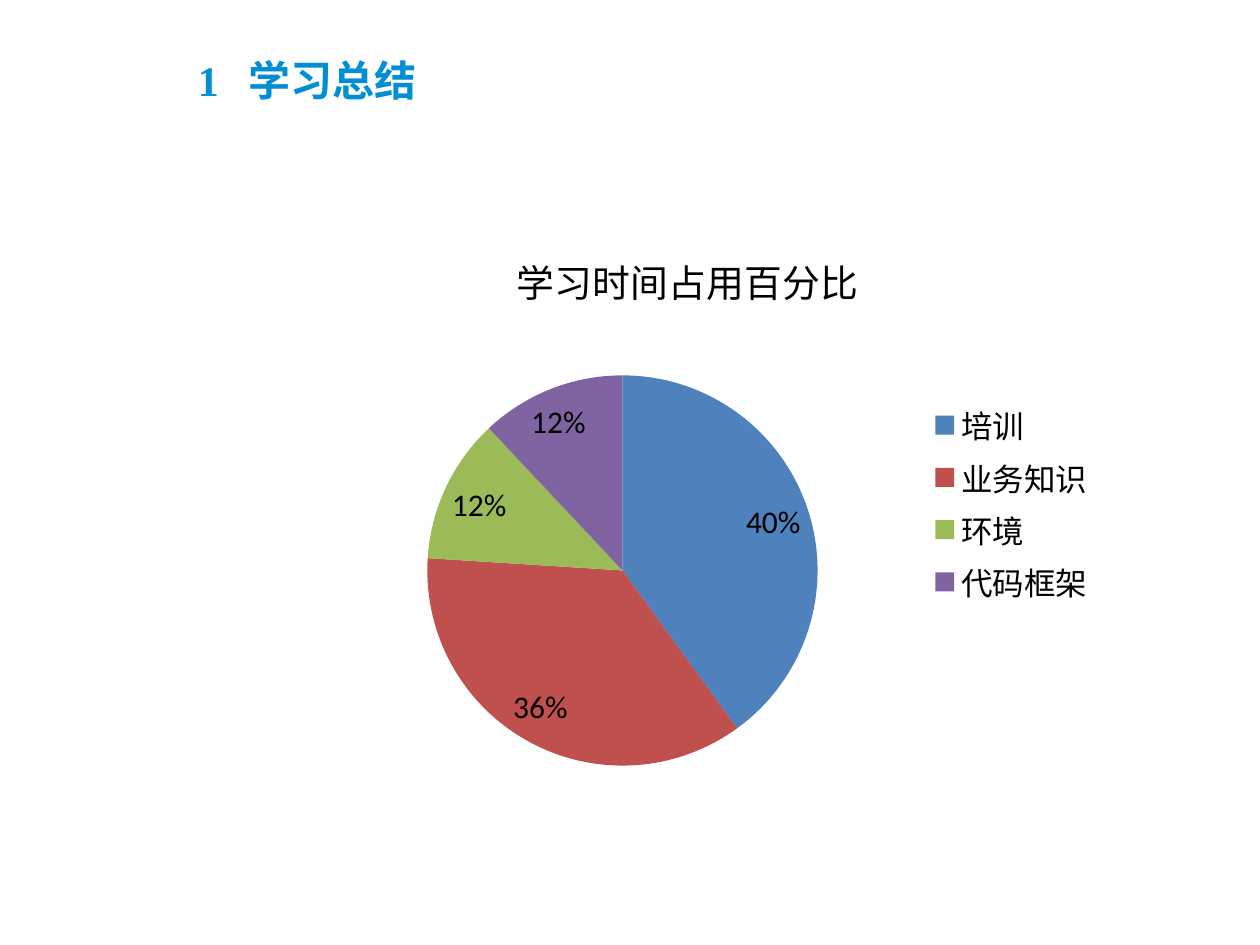
from dataclasses import dataclass

from lxml import etree
from pptx import Presentation
from pptx.chart.data import CategoryChartData
from pptx.dml.color import RGBColor
from pptx.enum.chart import XL_CHART_TYPE, XL_LABEL_POSITION, XL_LEGEND_POSITION
from pptx.enum.text import MSO_ANCHOR
from pptx.oxml.ns import qn
from pptx.util import Emu, Pt

PIE = XL_CHART_TYPE.PIE
BEST_FIT = XL_LABEL_POSITION.BEST_FIT
RIGHT = XL_LEGEND_POSITION.RIGHT
TOP = MSO_ANCHOR.TOP
EMU_PER_PX = 914400 / 126


@dataclass(frozen=True)
class Theme:
    accent: str = "008FD4"
    text: str = "000000"
    slices: tuple = ("4F81BD", "C0504D", "9BBB59", "8064A2")
    number_font: str = "Times New Roman"
    cjk_font: str = "Noto Sans CJK SC"
    chart_font: str = "Calibri"
    heading_size: float = 24
    chart_title_size: float = 21.6
    chart_size: float = 18


def px(n):
    return Emu(round(n * EMU_PER_PX))


class Deck:
    def __init__(self, theme, width, height):
        self.theme = theme
        self.prs = Presentation()
        self.prs.slide_width, self.prs.slide_height = px(width), px(height)
        self.slide = self.prs.slides.add_slide(self.prs.slide_layouts[6])

    def style(self, font, size, color, name, bold=False):
        font.size = Pt(size)
        font.bold = bold
        font.name = name
        font.color.rgb = RGBColor.from_string(color)

    def heading(self, number, text, box, indent):
        t = self.theme
        tf = self.slide.shapes.add_textbox(*map(px, box)).text_frame
        tf.word_wrap = True
        tf.vertical_anchor = TOP
        tf.margin_left = tf.margin_right = tf.margin_top = tf.margin_bottom = 0
        p = tf.paragraphs[0]
        self.style(p.font, t.heading_size, t.accent, t.number_font, bold=True)
        pPr = p._p.get_or_add_pPr()
        pPr.set("marL", str(px(indent)))
        pPr.set("indent", str(-px(indent)))
        p.add_run().text = number + "\t"
        r = p.add_run()
        r.text = text
        r.font.name = t.cjk_font
        ea = etree.SubElement(r.font._element, qn("a:ea"))
        ea.set("typeface", t.cjk_font)

    def pie(self, title, shares, box):
        t = self.theme
        data = CategoryChartData()
        data.categories = list(shares)
        data.add_series("Series 1", list(shares.values()))
        chart = self.slide.shapes.add_chart(PIE, *map(px, box), data).chart
        self.style(chart.font, t.chart_size, t.text, t.chart_font)

        chart.has_title = True
        tf = chart.chart_title.text_frame
        tf.text = title
        self.style(tf.paragraphs[0].font, t.chart_title_size, t.text, t.chart_font)

        chart.has_legend = True
        chart.legend.position = RIGHT
        chart.legend.include_in_layout = False

        plot = chart.plots[0]
        plot.vary_by_categories = True
        for i, color in enumerate(t.slices):
            fill = plot.series[0].points[i].format.fill
            fill.solid()
            fill.fore_color.rgb = RGBColor.from_string(color)

        plot.has_data_labels = True
        labels = plot.data_labels
        labels.show_percentage = True
        labels.show_value = False
        labels.number_format = "0%"
        labels.number_format_is_linked = False
        labels.position = BEST_FIT


def main():
    deck = Deck(Theme(), 1260, 945)
    deck.heading("1", "学习总结", (198, 55, 911, 111), indent=51)
    shares = {"培训": 40, "业务知识": 36, "环境": 12, "代码框架": 12}
    deck.pie("学习时间占用百分比", shares, (268, 224, 840, 559))
    deck.prs.save("out.pptx")


if __name__ == "__main__":
    main()
